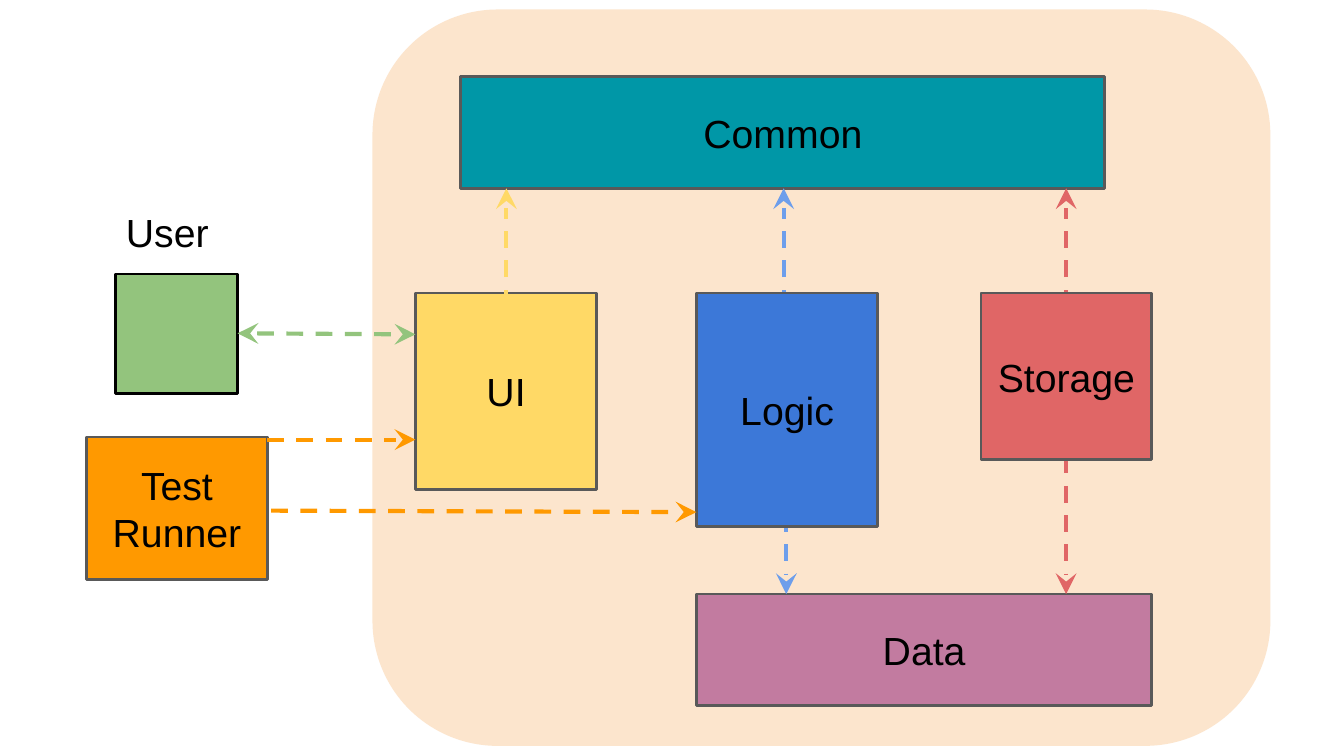
from lxml.etree import SubElement
from pptx import Presentation
from pptx.dml.color import RGBColor
from pptx.enum.dml import MSO_LINE
from pptx.enum.shapes import MSO_CONNECTOR, MSO_SHAPE as SHAPE
from pptx.enum.text import MSO_ANCHOR as ANCHOR, PP_ALIGN as ALIGN
from pptx.oxml.ns import qn
from pptx.util import Cm, Pt

COLORS = {
    "panel": "FCE5CD", "ui": "FFD966", "data": "C27BA0", "common": "0097A7",
    "logic": "3C78D8", "logic_arrow": "6D9EEB", "storage": "E06666",
    "test": "FF9900", "user": "93C47D", "border": "595959", "black": "000000",
}


def rgb(name):
    """Return the named colour."""
    return RGBColor.from_string(COLORS[name])


def write(sp, text, size=21, font="Arial", color="black",
          align=ALIGN.CENTER, anchor=ANCHOR.MIDDLE, inset=0.25):
    """Put formatted text in a shape."""
    tf = sp.text_frame
    tf.word_wrap = True
    tf.vertical_anchor = anchor
    tf.margin_left = tf.margin_right = Cm(inset)
    tf.margin_top = tf.margin_bottom = Cm(inset)
    p = tf.paragraphs[0]
    p.alignment = align
    r = p.add_run()
    r.text = text
    r.font.size, r.font.name = Pt(size), font
    r.font.color.rgb = rgb(color)


class Diagram:
    """Draws the diagram's elements on one slide in one style."""

    border_width = Pt(1.5)
    arrow_width = Pt(2.25)

    def __init__(self, slide):
        """Keep the current slide."""
        self.shapes = slide.shapes

    def shape(self, kind, box, fill, border=None):
        """Add a filled shape, with a border if one is named."""
        sp = self.shapes.add_shape(kind, *map(Cm, box))
        sp.shadow.inherit = False
        sp.fill.solid()
        sp.fill.fore_color.rgb = rgb(fill)
        if border:
            sp.line.color.rgb = rgb(border)
            sp.line.width = self.border_width
        else:
            sp.line.fill.background()
        return sp

    def component(self, text, box, fill):
        """Add a labelled component box."""
        write(self.shape(SHAPE.RECTANGLE, box, fill, "border"), text)

    def label(self, text, box):
        """Add a plain text label."""
        sp = self.shapes.add_textbox(*map(Cm, box))
        write(sp, text, align=ALIGN.LEFT, anchor=ANCHOR.TOP)

    def arrow(self, start, end, color, both=False):
        """Add a dashed arrow, pointing both ways if asked."""
        cx = self.shapes.add_connector(
            MSO_CONNECTOR.STRAIGHT, *map(Cm, start + end))
        cx.line.color.rgb = rgb(color)
        cx.line.width = self.arrow_width
        cx.line.dash_style = MSO_LINE.DASH
        ln = cx.line._get_or_add_ln()
        for tag in ("a:headEnd", "a:tailEnd") if both else ("a:tailEnd",):
            SubElement(ln, qn(tag), type="stealth", w="lg", len="lg")
        SubElement(cx._element.spPr, qn("a:effectLst"))


prs = Presentation()
prs.slide_width, prs.slide_height = Cm(25.4), Cm(14.29)
d = Diagram(prs.slides.add_slide(prs.slide_layouts[6]))

ROW_TOP, BAR_H, BOX_W = 5.54, 2.11, 3.43
UI_X, LOGIC_X, STORAGE_X = 7.85, 13.16, 18.54
COMMON_TOP, DATA_TOP = 1.45, 11.23
COMMON_BOTTOM = COMMON_TOP + BAR_H

panel = d.shape(SHAPE.ROUNDED_RECTANGLE, (7.04, 0.18, 16.97, 13.92), "panel")
panel.adjustments[0] = 0.17

d.component("UI", (UI_X, ROW_TOP, BOX_W, 3.71), "ui")
d.component("Data", (LOGIC_X, DATA_TOP, 8.61, BAR_H), "data")
d.component("Common", (8.71, COMMON_TOP, 12.17, BAR_H), "common")

# Arrows that start behind Logic and Storage come before those boxes.
for x, color in ((9.57, "ui"), (14.81, "logic_arrow"), (20.15, "storage")):
    d.arrow((x, 5.79), (x, COMMON_BOTTOM), color)
for x, color in ((14.86, "logic_arrow"), (20.15, "storage")):
    d.arrow((x, 8.08), (x, DATA_TOP), color)

d.component("Logic", (LOGIC_X, ROW_TOP, BOX_W, 4.42), "logic")
d.component("Storage", (STORAGE_X, ROW_TOP, 3.23, 3.15), "storage")
d.component("Test Runner", (1.63, 8.26, BOX_W, 2.69), "test")
d.arrow((4.57, 9.65), (LOGIC_X, 9.68), "test")

USER_X, USER_W = 2.18, 2.31
d.shape(SHAPE.RECTANGLE, (USER_X, 5.18, USER_W, 2.26), "user", "black")
d.label("User", (2.13, 3.68, 2.92, 2.01))
d.arrow((USER_X + USER_W, 6.3), (UI_X, 6.32), "user", both=True)
d.arrow((5.05, 8.31), (UI_X, 8.31), "test")

prs.save("out.pptx")
